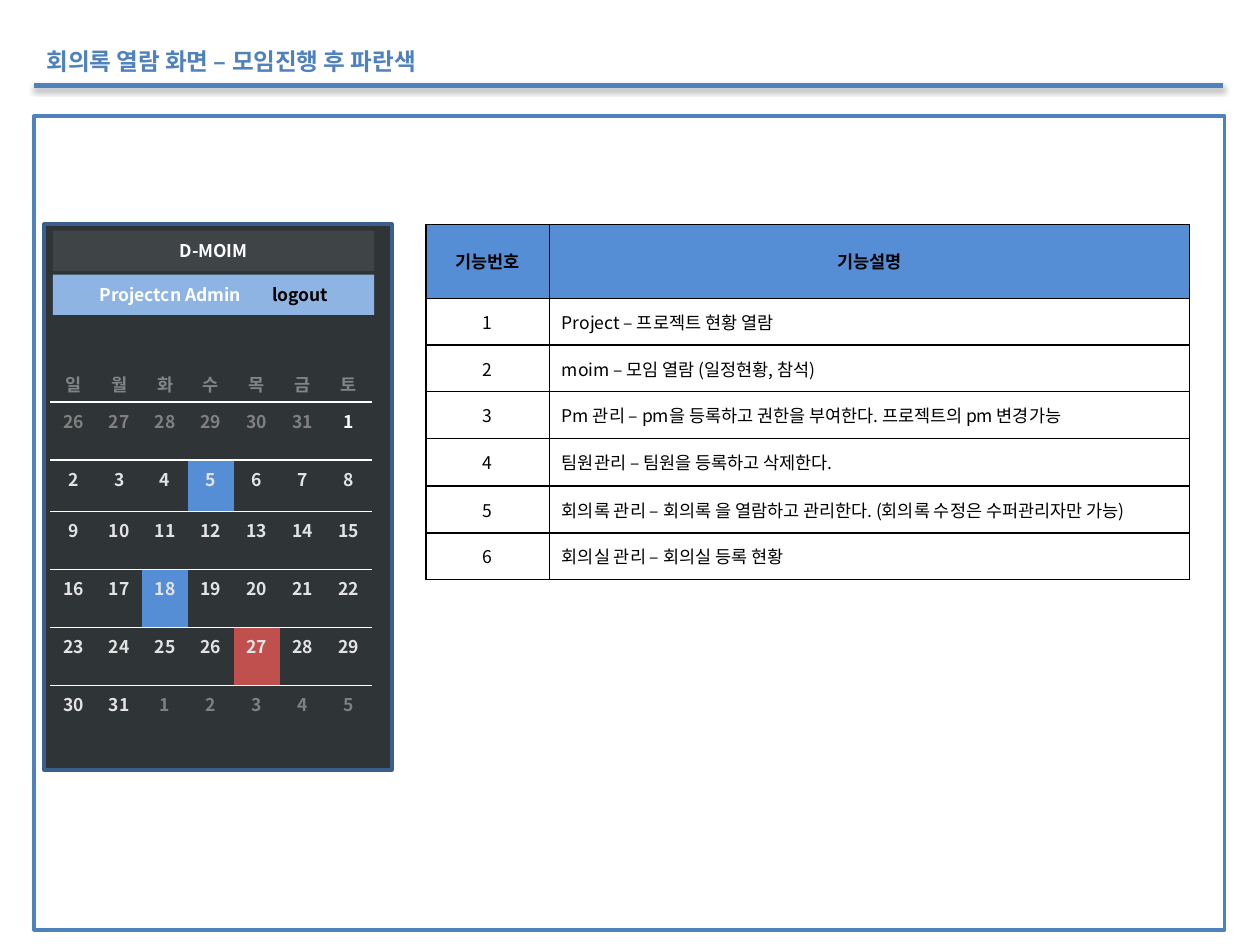
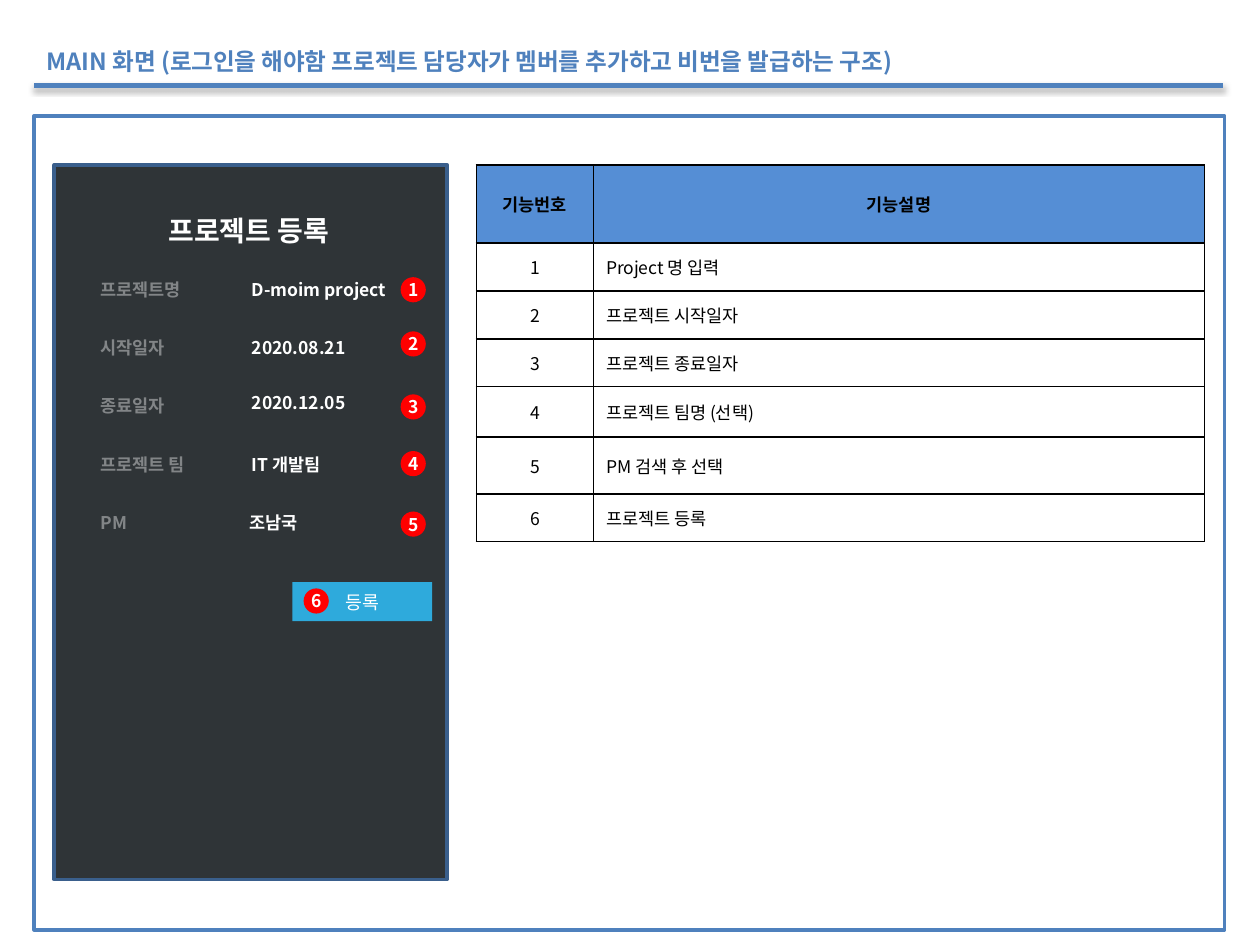
from lxml import etree
from pptx import Presentation
from pptx import util as u
from pptx.dml.color import RGBColor
from pptx.enum import shapes, text
from pptx.oxml import ns

HUE = {"blue": "4F81BD", "head": "558ED5", "dark": "2F3437", "edge": "3A5F8C",
       "bar": "3F4447", "pale": "8EB4E3", "sky": "2EAADC", "red": "FF0000",
       "mark": "C0504D", "white": "FFFFFF", "black": "000000",
       "label": "828587", "dim": "808080", "soft": "E3E3E3"}
FONT = "Noto Sans CJK KR"
PLAIN = "{2D5ABB26-0587-4C30-8999-92F81FD0307C}"
MID = text.MSO_ANCHOR.MIDDLE
LEFT, MIDDLE = text.PP_ALIGN.LEFT, text.PP_ALIGN.CENTER
BOX, OVAL = shapes.MSO_SHAPE.RECTANGLE, shapes.MSO_SHAPE.OVAL


def write(frame, runs, size=10, bold=True, align=MIDDLE, **look):
    """Fill a text frame with (words, hue) runs; look holds frame settings."""
    for key, val in look.items():
        setattr(frame, key, val)
    par = frame.paragraphs[0]
    par.alignment = align
    for words, hue in runs:
        run = par.add_run()
        run.text = words
        run.font.color.rgb = RGBColor.from_string(HUE[hue])
        for key, val in {"size": u.Pt(size), "bold": bold, "name": FONT}.items():
            setattr(run.font, key, val)
        etree.SubElement(run.font._element, ns.qn("a:ea"), typeface=FONT)


def block(slide, kind, at, fill, edge=None):
    """Add a flat shape and return it."""
    shape = slide.shapes.add_shape(kind, *map(u.Inches, at))
    shape.shadow.inherit = False
    shape.fill.solid()
    shape.fill.fore_color.rgb = RGBColor.from_string(HUE[fill])
    if edge:
        shape.line.color.rgb = RGBColor.from_string(HUE[edge])
        shape.line.width = u.Pt(2)
    else:
        shape.line.fill.background()
    return shape


deck = Presentation()
deck.slide_width, deck.slide_height = u.Inches(10), u.Inches(7.5)

# Title, rule and frame on both slides
titles = ["회의록 열람 화면 – 모임진행 후 파란색",
          "MAIN 화면 (로그인을 해야함 프로젝트 담당자가 멤버를 추가하고 비번을 발급하는 구조)"]
pages = []
for words in titles:
    page = deck.slides.add_slide(deck.slide_layouts[5])
    pages.append(page)
    title = page.shapes.title
    spot = {"left": 0.27, "top": 0.32, "width": 9.44, "height": 0.33}
    for key, val in spot.items():
        setattr(title, key, u.Inches(val))
    write(title.text_frame, [(words, "blue")], 13.5, align=LEFT, word_wrap=True,
          auto_size=text.MSO_AUTO_SIZE.NONE, vertical_anchor=MID)
    block(page, BOX, (0.27, 0.92, 9.45, 6.46), "white", "blue")
    rule = page.shapes.add_connector(
        shapes.MSO_CONNECTOR.STRAIGHT, *map(u.Inches, (0.27, 0.68, 9.71, 0.68)))
    rule.line.color.rgb = RGBColor.from_string(HUE["blue"])
    rule.line.width = u.Pt(3)
    glow = etree.SubElement(rule._element.spPr, ns.qn("a:effectLst"))
    cast = etree.SubElement(glow, ns.qn("a:outerShdw"), dir="5400000", rotWithShape="0",
                            blurRad=str(u.Pt(3.1)), dist=str(u.Pt(1.8)))
    tone = etree.SubElement(cast, ns.qn("a:srgbClr"), val=HUE["black"])
    etree.SubElement(tone, ns.qn("a:alpha"), val="35000")
first, second = pages

# Phone screen of the first slide
block(first, BOX, (0.35, 1.78, 2.76, 4.33), "dark", "edge")
brand = block(first, BOX, (0.42, 1.83, 2.55, 0.32), "bar")
write(brand.text_frame, [("D-MOIM", "white")], vertical_anchor=MID)
user = block(first, BOX, (0.42, 2.18, 2.55, 0.32), "pale")
write(user.text_frame, [("Projectcn Admin\t", "white"), ("logout", "black")],
      align=LEFT, vertical_anchor=MID, margin_left=u.Inches(0.37))
props = user.text_frame.paragraphs[0]._p.get_or_add_pPr()
tabs = etree.SubElement(props, ns.qn("a:tabLst"))
etree.SubElement(tabs, ns.qn("a:tab"), pos=str(u.Inches(1.37)), algn="l")

# Phone screen of the second slide
block(second, BOX, (0.43, 1.31, 3.12, 5.67), "dark", "edge")
labels = [(0.66, 1.67, 2.63, "프로젝트 등록", "white", 16, MIDDLE)]
fields = [("프로젝트명", "D-moim project", 1.9, 2.14, 2.2),
          ("시작일자", "2020.08.21", 1.9, 2.6, 2.63),
          ("종료일자", "2020.12.05", 1.9, 3.04, 3.13),
          ("프로젝트 팀", "IT 개발팀", 1.9, 3.53, 3.58),
          ("PM", "조남국", 1.88, 3.99, 4.06)]
for i, (name, value, left, top, _) in enumerate(fields):
    labels.append((0.7, 2.14 + 0.4625 * i, 1.11, name, "label", 10, LEFT))
    labels.append((left, top, 1.32, value, "white", 10, LEFT))
for left, top, wide, words, hue, size, align in labels:
    label = second.shapes.add_textbox(*map(u.Inches, (left, top, wide, 0.31)))
    write(label.text_frame, [(words, hue)], size, align=align,
          word_wrap=True, vertical_anchor=MID)

button = block(second, BOX, (2.32, 4.62, 1.11, 0.31), "sky")
write(button.text_frame, [("등록", "white")], 10.5, False, vertical_anchor=MID)
spots = [(3.18, field[-1]) for field in fields] + [(2.41, 4.67)]
for num, (left, top) in enumerate(spots, 1):
    badge = block(second, OVAL, (left, top, 0.2, 0.2), "red")
    write(badge.text_frame, [(str(num), "white")], vertical_anchor=MID,
          word_wrap=False, margin_left=0, margin_right=0, margin_top=0,
          margin_bottom=0)

# Function tables and calendar: each cell is (words, hue, fill)
notes = [
    ["Project – 프로젝트 현황 열람", "moim – 모임 열람 (일정현황, 참석)",
     "Pm 관리 – pm을 등록하고 권한을 부여한다. 프로젝트의 pm 변경가능",
     "팀원관리 – 팀원을 등록하고 삭제한다.",
     "회의록 관리 – 회의록 을 열람하고 관리한다. (회의록 수정은 수퍼관리자만 가능)",
     "회의실 관리 – 회의실 등록 현황"],
    ["Project 명 입력", "프로젝트 시작일자", "프로젝트 종료일자",
     "프로젝트 팀명 (선택)", "PM 검색 후 선택", "프로젝트 등록"]]
lists = []
for lines in notes:
    grid = [[("기능번호", "black", "head"), ("기능설명", "black", "head")]]
    for num, line in enumerate(lines, 1):
        grid.append([(str(num), "black", None), (line, "black", None)])
    lists.append(grid)

days = [26 + i for i in range(6)] + [1 + i for i in range(31)] + [1 + i for i in range(5)]
month = [[(day, "label", None) for day in "일월화수목금토"]]
marks = {10: "head", 23: "head", 32: "mark"}
for week in range(6):
    row = []
    for i in range(week * 7, week * 7 + 7):
        hue = "white" if i == 6 else "soft" if 6 < i < 37 else "dim"
        row.append((str(days[i]), hue, marks.get(i)))
    month.append(row)

tables = [
    (first, lists[0], 3.38, 1.78, [0.98, 5.08], [0.59, 0.37, 0.37, 0.37, 0.38, 0.37, 0.37]),
    (second, lists[1], 3.78, 1.31, [0.93, 4.85], [0.62, 0.38, 0.38, 0.38, 0.4, 0.45, 0.38]),
    (first, month, 0.4, 2.9, [2.55 / 7] * 7, [0.29, 0.46, 0.41] + [0.46] * 4)]
for page, grid, left, top, cols, rows in tables:
    dates = grid is month
    size = map(u.Inches, (left, top, sum(cols), sum(rows)))
    table = page.shapes.add_table(len(rows), len(cols), *size).table
    table._tbl.tblPr[0].text = PLAIN
    table.first_row = table.horz_banding = False
    for col, wide in zip(table.columns, cols):
        col.width = u.Inches(wide)
    for r, line in enumerate(grid):
        table.rows[r].height = u.Inches(rows[r])
        for c, (words, hue, fill) in enumerate(line):
            cell = table.cell(r, c)
            look = {"vertical_anchor": MID}
            if dates:
                look = {"margin_left": 0, "margin_right": 0, "margin_bottom": u.Inches(0.03)}
            for key, val in look.items():
                setattr(cell, key, val)
            sides = "LRTB"
            if dates:
                sides = ("T" if r else "") + ("B" if r < len(rows) - 1 else "")
            for side in sides:
                edge = etree.SubElement(cell._tc.get_or_add_tcPr(), ns.qn("a:ln" + side),
                                        w=str(u.Pt(1)))
                paint = etree.SubElement(edge, ns.qn("a:solidFill"))
                etree.SubElement(paint, ns.qn("a:srgbClr"),
                                 val=HUE["white" if dates else "black"])
            if fill:
                cell.fill.solid()
                cell.fill.fore_color.rgb = RGBColor.from_string(HUE[fill])
            else:
                cell.fill.background()
            write(cell.text_frame, [(words, hue)], bold=dates or r == 0,
                  align=LEFT if not dates and r and c else MIDDLE)

deck.save("out.pptx")
